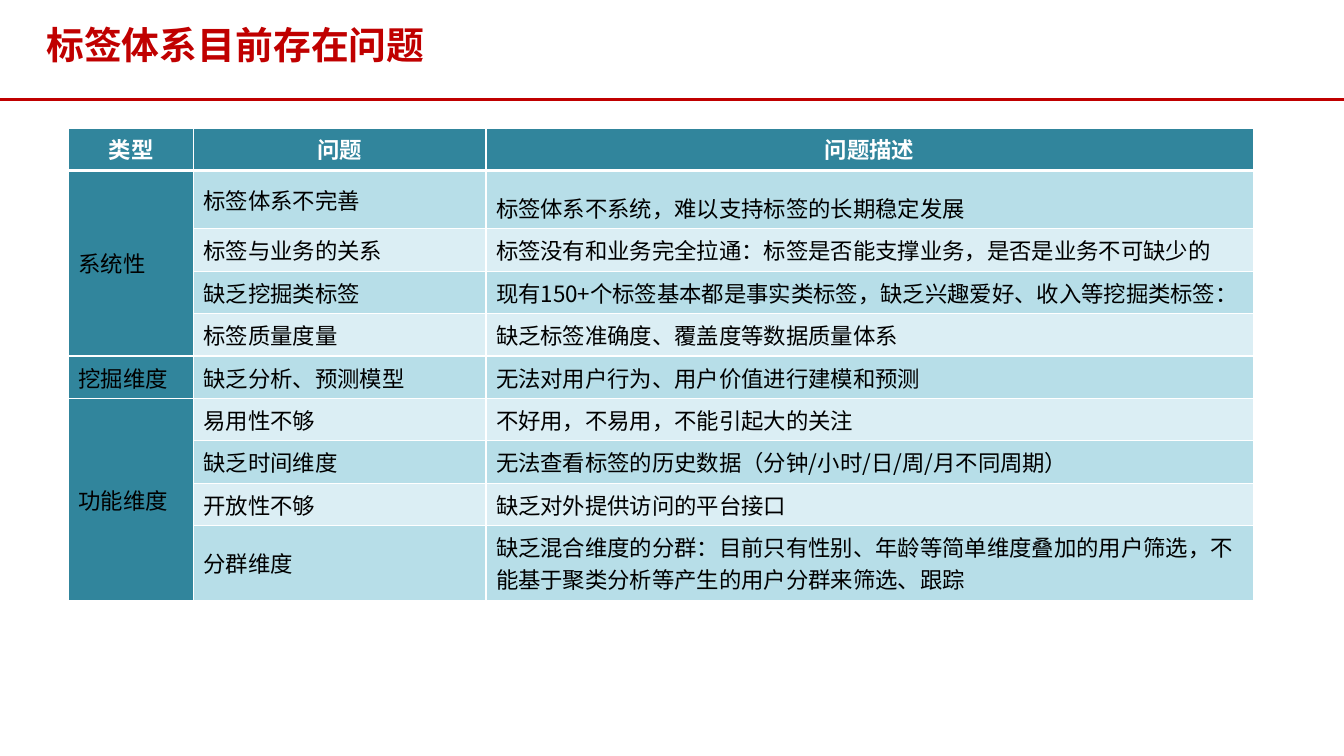
from dataclasses import dataclass

from lxml.etree import SubElement
from pptx import Presentation
from pptx.dml.color import RGBColor
from pptx.enum.shapes import MSO_CONNECTOR as Connector
from pptx.enum.text import MSO_ANCHOR as Anchor, PP_ALIGN as Align
from pptx.oxml import parse_xml
from pptx.oxml.ns import nsdecls, qn
from pptx.slide import Slide
from pptx.table import _Cell as Cell
from pptx.text.text import _Paragraph as Paragraph
from pptx.util import Pt

PX = 9144
CJK = "Noto Sans CJK SC"
RED, TEAL, WHITE, BLACK = "C00000", "31859C", "FFFFFF", "000000"
BANDS = ("B7DEE8", "DBEEF4")
HEADINGS = ("类型", "问题", "问题描述")
COLUMN_WIDTHS = (124, 290, 761)
ROW_HEIGHT = 42
TITLE_FORMAT = {"size": Pt(27), "bold": True, "name": "Arial"}
HEADING_FORMAT = {"size": Pt(16), "bold": True, "name": CJK}
BODY_FORMAT = {"size": Pt(16), "bold": False, "name": CJK}


@dataclass(frozen=True)
class Issue:
    """One problem row with its description."""
    name: str
    description: str
    height: int = ROW_HEIGHT
    spacious: bool = False


@dataclass(frozen=True)
class Category:
    """A problem type and the issues it groups."""
    name: str
    issues: tuple[Issue, ...]


CATEGORIES = (
    Category("系统性", (
        Issue("标签体系不完善", "标签体系不系统，难以支持标签的长期稳定发展", 50, True),
        Issue("标签与业务的关系", "标签没有和业务完全拉通：标签是否能支撑业务，是否是业务不可缺少的"),
        Issue("缺乏挖掘类标签", "现有150+个标签基本都是事实类标签，缺乏兴趣爱好、收入等挖掘类标签："),
        Issue("标签质量度量", "缺乏标签准确度、覆盖度等数据质量体系"),
    )),
    Category("挖掘维度", (
        Issue("缺乏分析、预测模型", "无法对用户行为、用户价值进行建模和预测"),
    )),
    Category("功能维度", (
        Issue("易用性不够", "不好用，不易用，不能引起大的关注"),
        Issue("缺乏时间维度", "无法查看标签的历史数据（分钟/小时/日/周/月不同周期）"),
        Issue("开放性不够", "缺乏对外提供访问的平台接口"),
        Issue("分群维度", "缺乏混合维度的分群：目前只有性别、年龄等简单维度叠加的用户筛选，"
              "不能基于聚类分析等产生的用户分群来筛选、跟踪", 63),
    )),
)


def color(value: str) -> RGBColor:
    """Turn a hex string into a colour."""
    return RGBColor.from_string(value)


def write(paragraph: Paragraph, wording: str, ink: str, style: dict, align: Align) -> None:
    """Write one formatted run into a paragraph."""
    paragraph.alignment = align
    run = paragraph.add_run()
    run.text = wording
    for attribute, value in style.items():
        setattr(run.font, attribute, value)
    run.font.color.rgb = color(ink)
    SubElement(run.font._element, qn("a:ea")).set("typeface", CJK)


def paint(cell: Cell, fill: str, borders: dict[str, int]) -> None:
    """Fill a cell and draw its white borders, given in points by side."""
    cell.vertical_anchor = Anchor.MIDDLE
    cell.fill.solid()
    cell.fill.fore_color.rgb = color(fill)
    for order, (side, points) in enumerate(borders.items()):
        border = parse_xml(
            f'<a:ln{side} {nsdecls("a")} w="{Pt(points)}"><a:solidFill>'
            f'<a:srgbClr val="{WHITE}"/></a:solidFill></a:ln{side}>')
        cell._tc.get_or_add_tcPr().insert(order, border)


def add_title(slide: Slide) -> None:
    """Place the slide title and the red rule beneath it."""
    title = slide.shapes.title
    place = {"left": 36, "top": 15, "width": 1274, "height": 59}
    for attribute, length in place.items():
        setattr(title, attribute, length * PX)
    title.text_frame.vertical_anchor = Anchor.MIDDLE
    write(title.text_frame.paragraphs[0], "标签体系目前存在问题", RED, TITLE_FORMAT, Align.LEFT)
    rule = slide.shapes.add_connector(Connector.STRAIGHT, 0, 99 * PX, 1333 * PX, 99 * PX)
    rule.line.color.rgb = color(RED)
    rule.line.width = Pt(2.25)
    SubElement(rule._element.spPr, qn("a:effectLst"))


def add_issue_table(slide: Slide) -> None:
    """Draw the table of problems grouped by type."""
    issues = [issue for category in CATEGORIES for issue in category.issues]
    heights = [ROW_HEIGHT] + [issue.height for issue in issues]
    table = slide.shapes.add_table(
        len(heights), len(HEADINGS), 68 * PX, 127 * PX,
        sum(COLUMN_WIDTHS) * PX, sum(heights) * PX).table
    for column, width in zip(table.columns, COLUMN_WIDTHS):
        column.width = width * PX
    for row, height in zip(table.rows, heights):
        row.height = height * PX

    for row in range(len(heights)):
        for column in range(len(HEADINGS)):
            fill = TEAL if row == 0 or column == 0 else BANDS[(row - 1) % 2]
            borders = {"L": 1, "R": 1, "T": 3 if row == 1 else 1, "B": 3 if row == 0 else 1}
            paint(table.cell(row, column), fill, borders)

    for column, heading in enumerate(HEADINGS):
        write(table.cell(0, column).text_frame.paragraphs[0], heading, WHITE,
              HEADING_FORMAT, Align.CENTER)

    first = 1
    for category in CATEGORIES:
        last = first + len(category.issues) - 1
        if last > first:
            table.cell(first, 0).merge(table.cell(last, 0))
        write(table.cell(first, 0).text_frame.paragraphs[0], category.name, BLACK,
              BODY_FORMAT, Align.LEFT)
        first = last + 1

    for row, issue in enumerate(issues, 1):
        for column, wording in enumerate((issue.name, issue.description), 1):
            paragraph = table.cell(row, column).text_frame.paragraphs[0]
            write(paragraph, wording, BLACK, BODY_FORMAT, Align.LEFT)
        if issue.spacious:
            paragraph.line_spacing = 1.5
            properties = paragraph._p.get_or_add_pPr()
            properties.set("marL", str(50 * PX))
            properties.set("indent", str(-50 * PX))


def main() -> None:
    """Build the slide and save it."""
    deck = Presentation()
    deck.slide_width, deck.slide_height = 1333 * PX, 750 * PX
    slide = deck.slides.add_slide(deck.slide_layouts[5])
    add_title(slide)
    add_issue_table(slide)
    deck.save("out.pptx")


if __name__ == "__main__":
    main()
